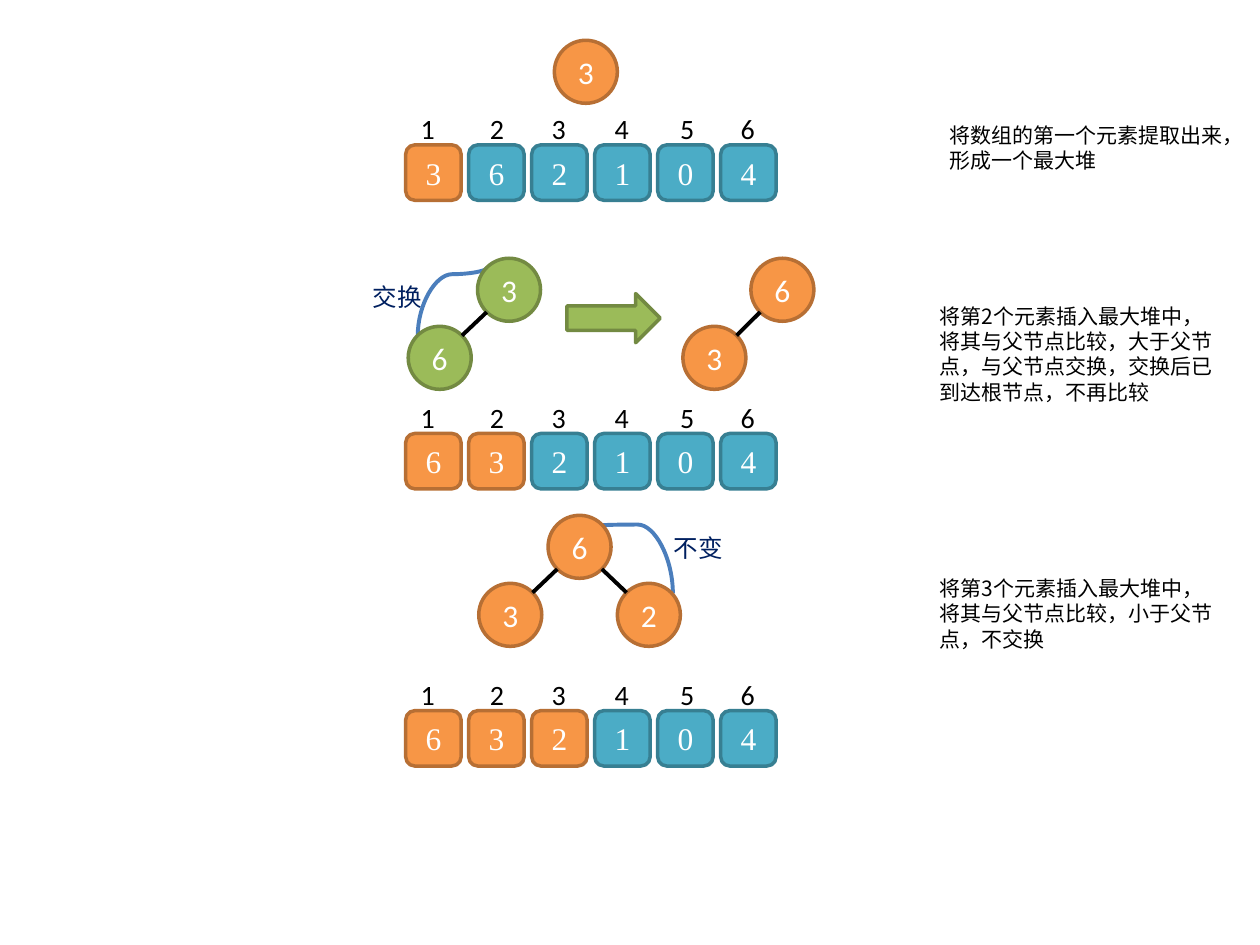
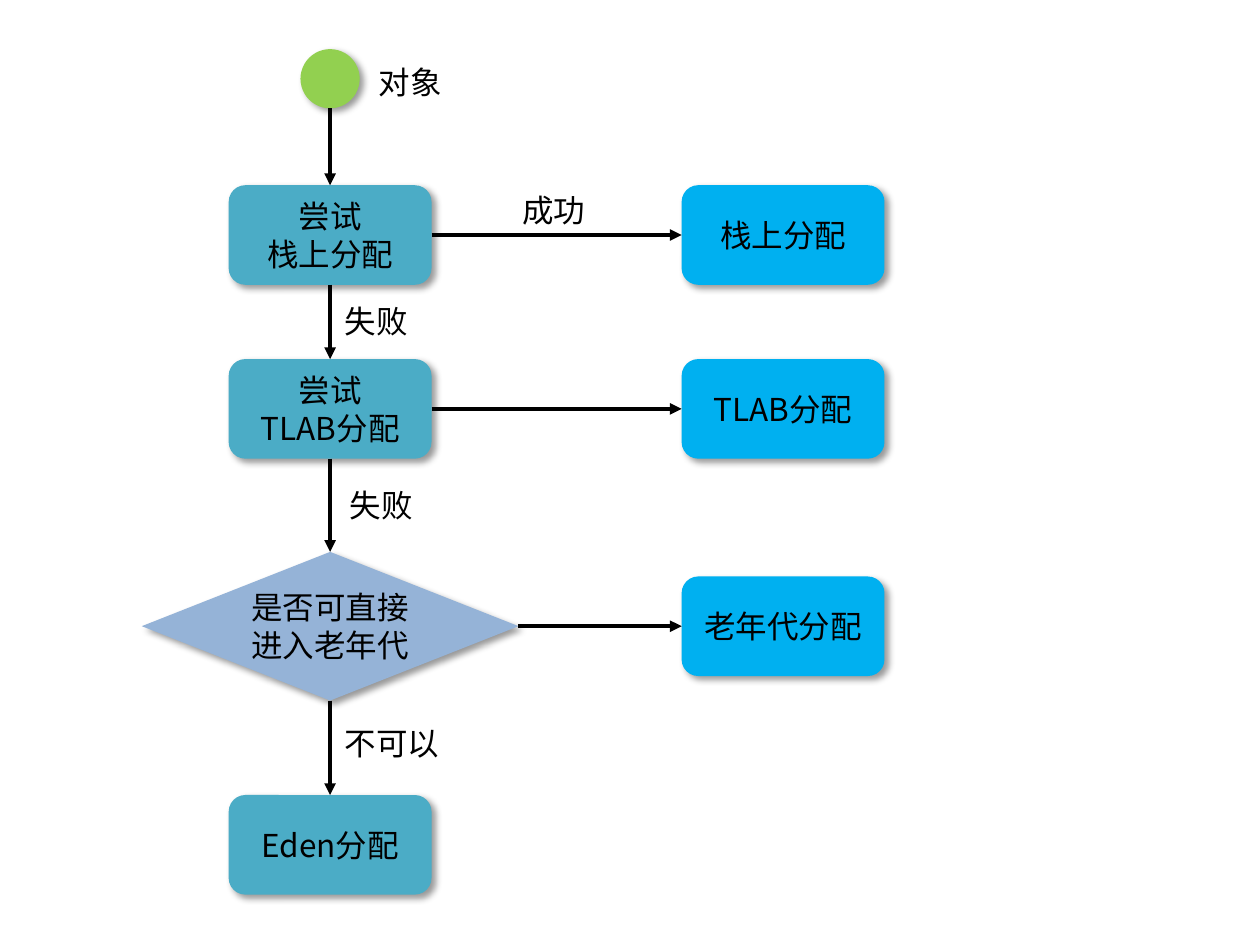
from dataclasses import dataclass
from math import sqrt

from lxml.etree import SubElement
from pptx import Presentation
from pptx.dml.color import RGBColor
from pptx.enum.shapes import MSO_CONNECTOR as LINK, MSO_SHAPE as SHAPE
from pptx.enum.text import MSO_ANCHOR as ANCHOR, MSO_AUTO_SIZE as FIT, PP_ALIGN as ALIGN
from pptx.oxml.ns import qn
from pptx.util import Inches, Pt


@dataclass(frozen=True)
class Theme:
    # (fill, outline) pairs
    orange: tuple = ("F79646", "B76F34")
    teal: tuple = ("4BACC6", "377F92")
    green: tuple = ("9BBB59", "738A42")
    start: tuple = ("92D050", None)
    attempt: tuple = ("4BACC6", None)
    decision: tuple = ("95B3D7", None)
    result: tuple = ("00B0F0", None)
    black: str = "000000"
    white: str = "FFFFFF"
    navy: str = "002060"
    curve: str = "4B7EBC"
    digits: str = "Calibri"
    cells: str = "Times New Roman"
    notes: str = "Noto Sans CJK JP"
    flow: str = "Noto Sans CJK SC"
    note_size: int = 12
    hint_size: int = 14
    index_size: int = 16
    main_size: int = 18
    outline: float = 2
    stroke: float = 2.25


theme = Theme()


def write(shape, text, *, font, size=theme.main_size, color=theme.black,
          align=ALIGN.CENTER, anchor=ANCHOR.MIDDLE, wrap=True, grow=False):
    frame = shape.text_frame
    frame.word_wrap = wrap
    frame.vertical_anchor = anchor
    frame.auto_size = FIT.SHAPE_TO_FIT_TEXT if grow else FIT.NONE
    for number, words in enumerate(text.split("\n")):
        paragraph = frame.add_paragraph() if number else frame.paragraphs[0]
        paragraph.alignment = align
        run = paragraph.add_run()
        run.text = words
        run.font.name = font
        run.font.size = Pt(size)
        run.font.color.rgb = RGBColor.from_string(color)
        SubElement(run.font._element, qn("a:ea"), typeface=font)


def draw(slide, kind, box, colors):
    """Add a preset shape: outlined, or shadowed when it has no outline."""
    shape = slide.shapes.add_shape(kind, *map(Inches, box))
    fill, outline = colors
    shape.shadow.inherit = False
    shape.fill.solid()
    shape.fill.fore_color.rgb = RGBColor.from_string(fill)
    if outline:
        shape.line.color.rgb = RGBColor.from_string(outline)
        shape.line.width = Pt(theme.outline)
    else:
        shape.line.fill.background()
        effects = shape.element.spPr.find(qn("a:effectLst"))
        shadow = SubElement(effects, qn("a:outerShdw"), blurRad=str(Pt(4)), dist=str(Pt(3)),
                            dir=str(45 * 60000), algn="tl", rotWithShape="0")
        tint = SubElement(shadow, qn("a:srgbClr"), val=theme.black)
        SubElement(tint, qn("a:alpha"), val="40000")
    return shape


deck = Presentation()
deck.slide_width, deck.slide_height = Inches(10), Inches(7.5)
heap, allocation = (deck.slides.add_slide(deck.slide_layouts[6]) for _ in range(2))
links = []  # (connector, colour)

# ---- Slide 1: building a max heap ----
# Array after each step: top, values, how many already belong to the heap
CELL, PITCH, ARRAY_LEFT = 0.44, 0.5, 3.22
index_lefts = [3.24, 3.79, 4.28, 4.78, 5.3, 5.78]
for top, values, in_heap in [(1.15, "362104", 1), (3.44, "632104", 2), (5.64, "632104", 3)]:
    for position, (value, index_left) in enumerate(zip(values, index_lefts)):
        cell = draw(heap, SHAPE.ROUNDED_RECTANGLE,
                    (ARRAY_LEFT + position * PITCH, top, CELL, CELL),
                    theme.orange if position < in_heap else theme.teal)
        write(cell, value, font=theme.cells, color=theme.white)
        index = heap.shapes.add_textbox(*map(Inches, (index_left, top - 0.31, 0.32, 0.37)))
        write(index, str(position + 1), font=theme.digits, size=theme.index_size,
              align=ALIGN.LEFT, anchor=ANCHOR.TOP, wrap=False, grow=True)

# Curves between compared nodes: frame, rotation, flips, bend
for (left, top, width, height), turn, flips, bend in [
    ((3.32, 2.12, 0.54, 0.55), 90, ("flipH", "flipV"), 90500),
    ((4.79, 4.16, 0.54, 0.56), 270, ("flipV",), 101200),
]:
    curve = heap.shapes.add_connector(
        LINK.CURVE, *map(Inches, (left, top, left + width, top + height)))
    properties = curve.element.spPr
    placement = properties.find(qn("a:xfrm"))
    placement.set("rot", str(turn * 60000))
    for flip in flips:
        placement.set(flip, "1")
    guides = properties.find(qn("a:prstGeom")).find(qn("a:avLst"))
    SubElement(guides, qn("a:gd"), name="adj1", fmla=f"val {bend}")
    links.append((curve, theme.curve))

# Heap trees: colours, then nodes as (value, left, top), root first
NODE = 0.5
reach = NODE / 2 / sqrt(2)
for colors, nodes in [
    (theme.orange, [("3", 4.4, 0.32)]),
    (theme.green, [("3", 3.79, 2.05), ("6", 3.24, 2.59)]),
    (theme.orange, [("6", 5.96, 2.05), ("3", 5.42, 2.59)]),
    (theme.orange, [("6", 4.35, 4.09), ("3", 3.8, 4.63), ("2", 4.9, 4.63)]),
]:
    for value, left, top in nodes:
        node = draw(heap, SHAPE.OVAL, (left, top, NODE, NODE), colors)
        write(node, value, font=theme.digits, color=theme.white)
    root_x, root_y = (edge + NODE / 2 for edge in nodes[0][1:])
    for _, left, top in nodes[1:]:
        child_x, child_y = left + NODE / 2, top + NODE / 2
        side = reach if child_x > root_x else -reach
        branch = heap.shapes.add_connector(LINK.STRAIGHT, *map(Inches, (
            root_x + side, root_y + reach, child_x - side, child_y - reach)))
        links.append((branch, theme.black))

draw(heap, SHAPE.RIGHT_ARROW, (4.5, 2.33, 0.74, 0.39), theme.green)

# Hints beside the curves and explanations on the right
for text, box, size, color in [
    ("交换", (2.86, 2.19, 0.7, 0.34), theme.hint_size, theme.navy),
    ("不变", (5.25, 4.18, 0.7, 0.34), theme.hint_size, theme.navy),
    ("将数组的第一个元素提取出来，形成一个最大堆",
     (7.44, 0.92, 2.44, 0.5), theme.note_size, theme.black),
    ("将第2个元素插入最大堆中，将其与父节点比较，大于父节点，与父节点交换，交换后已到达根节点，不再比较",
     (7.36, 2.36, 2.44, 0.91), theme.note_size, theme.black),
    ("将第3个元素插入最大堆中，将其与父节点比较，小于父节点，不交换",
     (7.36, 4.52, 2.44, 0.71), theme.note_size, theme.black),
]:
    note = heap.shapes.add_textbox(*map(Inches, box))
    write(note, text, font=theme.notes, size=size, color=color,
          align=ALIGN.LEFT, anchor=ANCHOR.TOP, grow=True)

# ---- Slide 2: object allocation flow ----
AXIS, RESULT_LEFT, STEP_WIDTH, STEP_HEIGHT = 2.62, 5.41, 1.61, 0.79
draw(allocation, SHAPE.OVAL, (AXIS - 0.235, 0.39, 0.47, 0.47), theme.start)

# Steps down the axis: text, kind, top, width, height, colours, result to the right
previous = None
for text, kind, top, width, height, colors, outcome in [
    ("尝试\n栈上分配", SHAPE.ROUNDED_RECTANGLE, 1.47, STEP_WIDTH, STEP_HEIGHT,
     theme.attempt, "栈上分配"),
    ("尝试\nTLAB分配", SHAPE.ROUNDED_RECTANGLE, 2.85, STEP_WIDTH, STEP_HEIGHT,
     theme.attempt, "TLAB分配"),
    ("是否可直接进入老年代", SHAPE.FLOWCHART_DECISION, 4.38, 2.99, 1.18,
     theme.decision, "老年代分配"),
    ("Eden分配", SHAPE.ROUNDED_RECTANGLE, 6.31, STEP_WIDTH, STEP_HEIGHT,
     theme.attempt, None),
]:
    step = draw(allocation, kind, (AXIS - width / 2, top, width, height), colors)
    write(step, text, font=theme.flow)
    descent = allocation.shapes.add_connector(
        LINK.STRAIGHT, *map(Inches, (AXIS, 0.86, AXIS, top)))
    if previous:
        descent.begin_connect(previous, 2)
    descent.end_connect(step, 0)
    arrows = [descent]
    if outcome:
        result = draw(allocation, SHAPE.ROUNDED_RECTANGLE,
                      (RESULT_LEFT, top + (height - STEP_HEIGHT) / 2, STEP_WIDTH, STEP_HEIGHT),
                      theme.result)
        write(result, outcome, font=theme.flow)
        exit_arrow = allocation.shapes.add_connector(LINK.STRAIGHT, 0, 0, 0, 0)
        exit_arrow.begin_connect(step, 3)
        exit_arrow.end_connect(result, 1)
        arrows.append(exit_arrow)
    for arrow in arrows:
        SubElement(arrow.line._get_or_add_ln(), qn("a:tailEnd"), type="triangle")
        links.append((arrow, theme.black))
    previous = step

# Labels beside the start and the arrows
for text, left, top, width in [
    ("对象", 2.9, 0.45, 0.71),
    ("成功", 4.04, 1.47, 0.71),
    ("失败", 2.63, 2.35, 0.71),
    ("失败", 2.67, 3.81, 0.71),
    ("不可以", 2.63, 5.7, 0.96),
]:
    label = allocation.shapes.add_textbox(*map(Inches, (left, top, width, 0.4)))
    write(label, text, font=theme.flow, anchor=ANCHOR.TOP, wrap=False, grow=True)

# ---- Stroke shared by all connectors ----
for link, color in links:
    link.line.color.rgb = RGBColor.from_string(color)
    link.line.width = Pt(theme.stroke)
    SubElement(link.element.spPr, qn("a:effectLst"))

deck.save("out.pptx")
